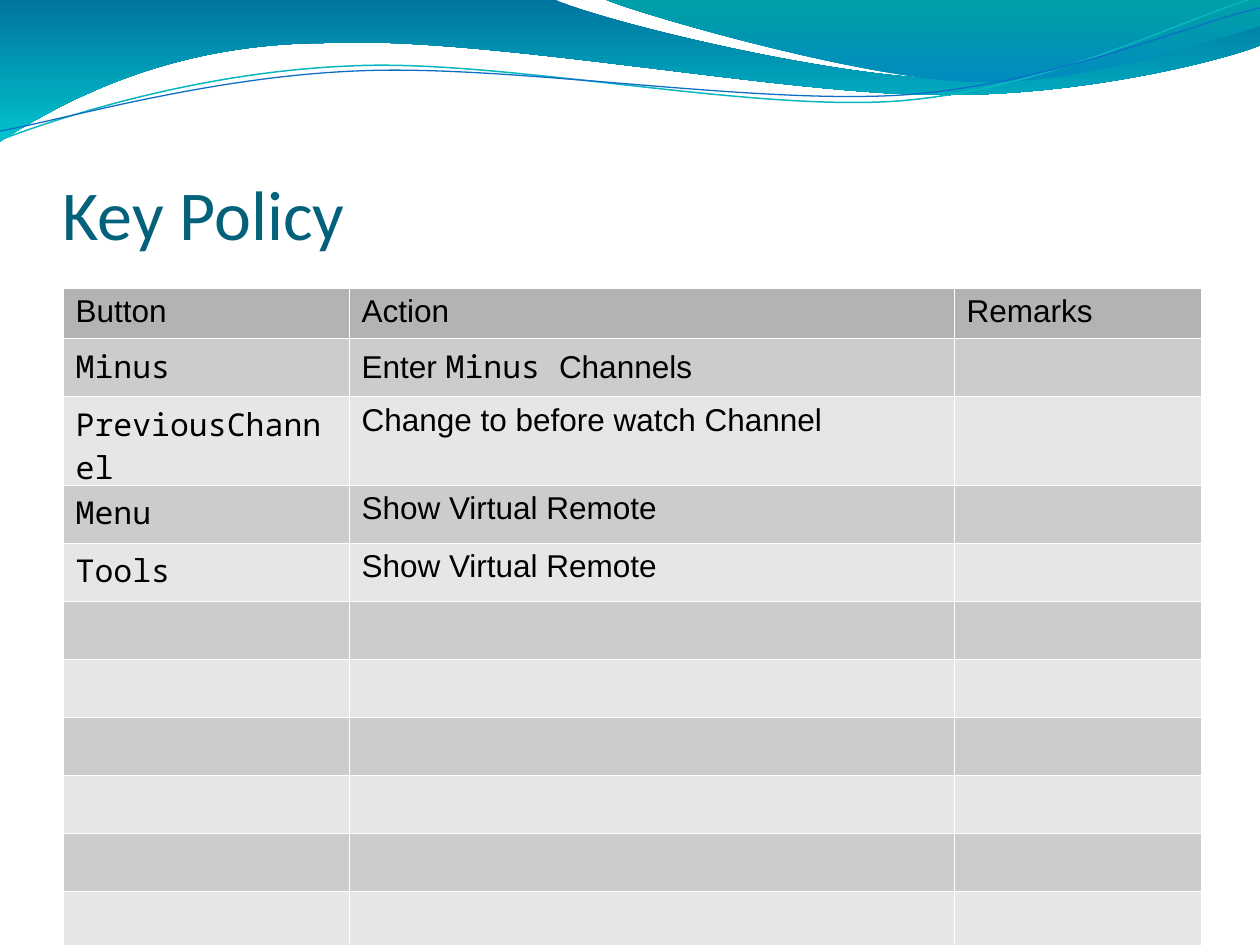
"""Build the "Key Policy" slide: a wave header, a title and a table of button actions."""
from dataclasses import dataclass

from lxml import etree
from pptx import Presentation
from pptx.dml.color import RGBColor
from pptx.enum.text import MSO_ANCHOR
from pptx.oxml.ns import qn
from pptx.util import Emu, Pt

BOTTOM = MSO_ANCHOR.BOTTOM
SCALE = 914400 / 126
SANS, MONO = "Arial", "Noto Sans Mono"
HEADER_FILL, BAND_FILLS = "B3B3B3", ("CCCCCC", "E6E6E6")
BORDER_COLOUR, BORDER_WIDTH = "FFFFFF", Pt(0.06)
ROW_COUNT = 12
COLUMN_WIDTHS = (286, 605, 247)
HEADER_HEIGHT, BODY_HEIGHT = 48, 58

Point = tuple[int, int]
Runs = tuple[tuple[str, str], ...]


@dataclass(frozen=True)
class Band:
    start: Point
    curves: tuple[tuple[Point, Point, Point], ...]
    stops: tuple[str, str]
    angle: int


@dataclass(frozen=True)
class Strand:
    start: Point
    curves: tuple[tuple[Point, Point, Point], ...]
    colour: str
    width: float


def straight(x: int, y: int) -> tuple[Point, Point, Point]:
    return ((x, y),) * 3


BANDS = (
    Band((0, 0), (
        straight(554, -1),
        ((600, 21), (837, 79), (955, 79)),
        ((1075, 79), (1207, 33), (1260, 11)),
        straight(1261, 45),
        ((1239, 55), (1096, 96), (940, 95)),
        ((784, 95), (481, 35), (324, 43)),
        ((163, 44), (58, 105), (-1, 142)),
    ), ("0074A0", "00C4CD"), 270),
    Band((604, -1), (
        ((639, 14), (859, 78), (969, 82)),
        ((1079, 87), (1211, 40), (1260, 26)),
        straight(1260, 0),
    ), ("008ABF", "00A0A8"), 90),
)
STRANDS = (
    Strand((0, 140), (
        ((60, 117), (199, 72), (349, 66)),
        ((498, 58), (747, 112), (898, 101)),
        ((1050, 89), (1182, 19), (1257, -3)),
    ), "09B7BF", 0.85),
    Strand((0, 131), (
        ((59, 121), (207, 77), (357, 71)),
        ((508, 64), (752, 105), (903, 95)),
        ((1053, 84), (1186, 25), (1260, 8)),
    ), "0F6FC6", 0.75),
)
KEY_ROWS: tuple[tuple[Runs, ...], ...] = (
    ((("Button", SANS),), (("Action", SANS),), (("Remarks", SANS),)),
    ((("Minus", MONO),), (("Enter ", SANS), ("Minus ", MONO), ("Channels", SANS))),
    ((("PreviousChannel", MONO),), (("Change to before watch Channel", SANS),)),
    ((("Menu", MONO),), (("Show Virtual Remote", SANS),)),
    ((("Tools", MONO),), (("Show Virtual Remote", SANS),)),
)


def px(length: int) -> Emu:
    return Emu(round(length * SCALE))


def rgb(colour: str) -> RGBColor:
    return RGBColor.from_string(colour)


def apply(target, formats: dict) -> None:
    for name, value in formats.items():
        setattr(target, name, value)


def add_run(paragraph, text: str, font: str, size: int, colour: str) -> None:
    run = paragraph.add_run()
    run.text = text
    apply(run.font, {"name": font, "size": Pt(size)})
    run.font.color.rgb = rgb(colour)


def draw_curve(slide, wave: Band | Strand, close: bool):
    """Draw every three points after the start as one cubic curve."""
    builder = slide.shapes.build_freeform(px(wave.start[0]), px(wave.start[1]))
    points = [(px(x), px(y)) for curve in wave.curves for x, y in curve]
    builder.add_line_segments(points, close=close)
    shape = builder.convert_to_shape()
    shape.shadow.inherit = False
    segments = list(shape._element.iter(qn("a:lnTo")))
    for first in range(0, len(segments), 3):
        cubic = etree.Element(qn("a:cubicBezTo"))
        segments[first].addprevious(cubic)
        for segment in segments[first:first + 3]:
            cubic.append(segment[0])
            segment.getparent().remove(segment)
    return shape


def draw_band(slide, band: Band) -> None:
    shape = draw_curve(slide, band, True)
    shape.line.fill.background()
    shape.fill.gradient()
    shape.fill.gradient_angle = band.angle
    for position, (stop, colour) in enumerate(zip(shape.fill.gradient_stops, band.stops)):
        stop.position = position
        stop.color.rgb = rgb(colour)


def draw_strand(slide, strand: Strand) -> None:
    shape = draw_curve(slide, strand, False)
    shape.fill.background()
    shape.line.color.rgb = rgb(strand.colour)
    shape.line.width = Pt(strand.width)


def draw_title(slide, text: str) -> None:
    frame = slide.shapes.add_textbox(px(63), px(97), px(1134), px(158)).text_frame
    apply(frame, {"word_wrap": True, "vertical_anchor": BOTTOM, "margin_left": 0,
                  "margin_right": 0, "margin_top": px(6), "margin_bottom": 0})
    add_run(frame.paragraphs[0], text, "Calibri", 40, "04617B")


def style_cell(cell, fill: str) -> None:
    cell.fill.solid()
    cell.fill.fore_color.rgb = rgb(fill)
    properties = cell._tc.get_or_add_tcPr()
    for place, side in enumerate(("lnL", "lnR", "lnT", "lnB")):
        border = etree.Element(qn(f"a:{side}"), w=str(BORDER_WIDTH))
        solid = etree.SubElement(border, qn("a:solidFill"))
        etree.SubElement(solid, qn("a:srgbClr"), val=BORDER_COLOUR)
        properties.insert(place, border)


def draw_table(slide) -> None:
    height = HEADER_HEIGHT + BODY_HEIGHT * (ROW_COUNT - 1)
    table = slide.shapes.add_table(ROW_COUNT, len(COLUMN_WIDTHS), px(63), px(288),
                                   px(sum(COLUMN_WIDTHS)), px(height)).table
    apply(table, {"first_row": False, "horz_banding": False})
    for column, width in zip(table.columns, COLUMN_WIDTHS):
        column.width = px(width)
    for index, row in enumerate(table.rows):
        row.height = px(BODY_HEIGHT if index else HEADER_HEIGHT)
        for cell in row.cells:
            style_cell(cell, BAND_FILLS[(index - 1) % 2] if index else HEADER_FILL)
    for row, key_row in zip(table.rows, KEY_ROWS):
        for cell, runs in zip(row.cells, key_row):
            for text, font in runs:
                add_run(cell.text_frame.paragraphs[0], text, font, 18, "000000")


def main() -> None:
    deck = Presentation()
    apply(deck, {"slide_width": px(1260), "slide_height": px(945)})
    slide = deck.slides.add_slide(deck.slide_layouts[6])
    for band in BANDS:
        draw_band(slide, band)
    for strand in STRANDS:
        draw_strand(slide, strand)
    draw_title(slide, "Key Policy")
    draw_table(slide)
    deck.save("out.pptx")


if __name__ == "__main__":
    main()
